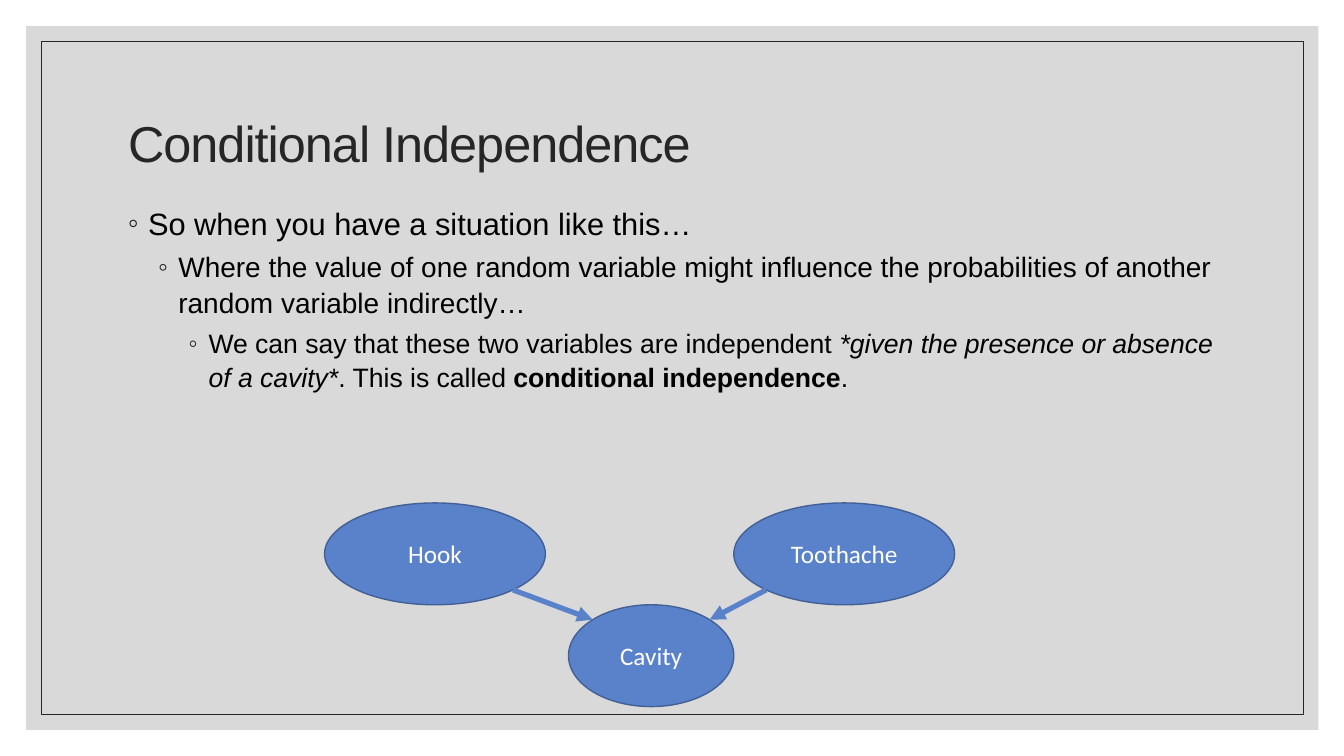
from dataclasses import dataclass
from math import sqrt

from lxml.etree import SubElement
from pptx import Presentation
from pptx.dml.color import RGBColor
from pptx.enum.shapes import MSO_CONNECTOR, MSO_SHAPE
from pptx.enum.text import MSO_ANCHOR, PP_ALIGN
from pptx.oxml.ns import qn
from pptx.util import Emu, Inches, Pt

COLORS = {
    "panel": "D9D9D9",
    "dark": "262626",
    "text": "000000",
    "node": "5A82CB",
    "node_line": "436096",
    "node_text": "FFFFFF",
}
SLIDE_WIDTH, SLIDE_HEIGHT = Inches(13.333), Inches(7.5)


@dataclass(frozen=True)
class Box:
    """Area in percent of the slide's width and height."""
    left: float
    top: float
    width: float
    height: float

    def emu(self) -> tuple:
        return (*to_emu(self.left, self.top), *to_emu(self.width, self.height))

    def corner(self, side: int, end: int) -> tuple:
        """Point on the inscribed ellipse at 45 degrees; signs choose the quadrant."""
        return (self.left + self.width / 2 * (1 + side / sqrt(2)),
                self.top + self.height / 2 * (1 + end / sqrt(2)))


@dataclass(frozen=True)
class Run:
    text: str
    bold: bool = False
    italic: bool = False


@dataclass(frozen=True)
class Bullet:
    size: int
    runs: tuple


PANEL = Box(1.95, 3.47, 96.15, 93.07)
BORDER = Box(3.08, 5.47, 93.9, 89.07)
TITLE = Box(8.78, 9.33, 82.5, 20)
BODY = Box(8.78, 26.13, 82.5, 28)

BULLETS = (
    Bullet(22, (Run("So when you have a situation like this…"),)),
    Bullet(20, (Run("Where the value of one random variable might influence the "
                    "probabilities of another random variable indirectly…"),)),
    Bullet(19, (Run("We can say that these two variables are independent "),
                Run("*given the presence or absence of a cavity*", italic=True),
                Run(". This is called "),
                Run("conditional independence", bold=True),
                Run("."))),
)
NODES = {
    "Cavity": Box(42.3, 80, 12.3, 13.47),
    "Toothache": Box(54.6, 66.53, 16.43, 13.47),
    "Hook": Box(24.15, 66.53, 16.43, 13.47),
}
CAUSES = {"Hook": 1, "Toothache": -1}  # side on which the arrow leaves


def to_emu(across: float, down: float) -> tuple:
    return Emu(round(SLIDE_WIDTH * across / 100)), Emu(round(SLIDE_HEIGHT * down / 100))


def color(name: str) -> RGBColor:
    return RGBColor.from_string(COLORS[name])


def add_text(paragraph, text: str, *, size: float, fill: str, font: str = "Arial",
             bold: bool = False, italic: bool = False):
    run = paragraph.add_run()
    run.text = text
    run.font.name = font
    run.font.size = Pt(size)
    run.font.bold = bold
    run.font.italic = italic
    run.font.color.rgb = color(fill)
    return run


def add_shape(slide, kind, box: Box, *, fill: str = "", line: str = "", width: float = 1):
    shape = slide.shapes.add_shape(kind, *box.emu())
    shape.shadow.inherit = False
    if fill:
        shape.fill.solid()
        shape.fill.fore_color.rgb = color(fill)
    else:
        shape.fill.background()
    if line:
        shape.line.color.rgb = color(line)
        shape.line.width = Pt(width)
    else:
        shape.line.fill.background()
    return shape


def add_title(slide) -> None:
    title = slide.shapes.title
    title.left, title.top, title.width, title.height = TITLE.emu()
    title.text_frame.vertical_anchor = MSO_ANCHOR.MIDDLE
    paragraph = title.text_frame.paragraphs[0]
    paragraph.alignment = PP_ALIGN.LEFT
    paragraph.line_spacing = 0.9
    run = add_text(paragraph, "Conditional Independence", size=36, fill="dark")
    run.font._element.set("spc", "-70")


def set_bullet(paragraph, level: int) -> None:
    properties = paragraph._p.get_or_add_pPr()
    properties.set("marL", str(Inches(0.2 + 0.3 * level)))
    properties.set("indent", str(-Inches(0.2)))
    bullet_color = SubElement(properties, qn("a:buClr"))
    SubElement(bullet_color, qn("a:srgbClr"), val=COLORS["dark"])
    SubElement(properties, qn("a:buFont"), typeface="Arial")
    SubElement(properties, qn("a:buChar"), char="◦")


def add_body(slide) -> None:
    frame = slide.shapes.add_textbox(*BODY.emu()).text_frame
    frame.word_wrap = True
    for level, bullet in enumerate(BULLETS):
        paragraph = frame.add_paragraph() if level else frame.paragraphs[0]
        paragraph.level = level
        set_bullet(paragraph, level)
        paragraph.line_spacing = 1.05
        paragraph.space_before = Pt(5 if level else 0)
        for run in bullet.runs:
            add_text(paragraph, run.text, size=bullet.size, fill="text",
                     bold=run.bold, italic=run.italic)


def add_node(slide, label: str, box: Box) -> None:
    shape = add_shape(slide, MSO_SHAPE.OVAL, box, fill="node", line="node_line")
    shape.text_frame.vertical_anchor = MSO_ANCHOR.MIDDLE
    paragraph = shape.text_frame.paragraphs[0]
    paragraph.alignment = PP_ALIGN.CENTER
    add_text(paragraph, label, size=18, fill="node_text", font="Calibri")


def add_arrow(slide, start: tuple, end: tuple) -> None:
    arrow = slide.shapes.add_connector(MSO_CONNECTOR.STRAIGHT, *to_emu(*start), *to_emu(*end))
    arrow.line.color.rgb = color("node")
    arrow.line.width = Pt(3.75)
    SubElement(arrow.line._get_or_add_ln(), qn("a:tailEnd"), type="triangle")
    SubElement(arrow._element.spPr, qn("a:effectLst"))


def main() -> None:
    presentation = Presentation()
    presentation.slide_width, presentation.slide_height = SLIDE_WIDTH, SLIDE_HEIGHT
    slide = presentation.slides.add_slide(presentation.slide_layouts[5])
    add_shape(slide, MSO_SHAPE.RECTANGLE, PANEL, fill="panel")
    add_shape(slide, MSO_SHAPE.RECTANGLE, BORDER, line="dark", width=0.5)
    add_title(slide)
    slide.shapes._spTree.append(slide.shapes.title._element)  # title above the panel
    add_body(slide)
    for label, box in NODES.items():
        add_node(slide, label, box)
    for cause, side in CAUSES.items():
        add_arrow(slide, NODES[cause].corner(side, 1), NODES["Cavity"].corner(-side, -1))
    presentation.save("out.pptx")


if __name__ == "__main__":
    main()
